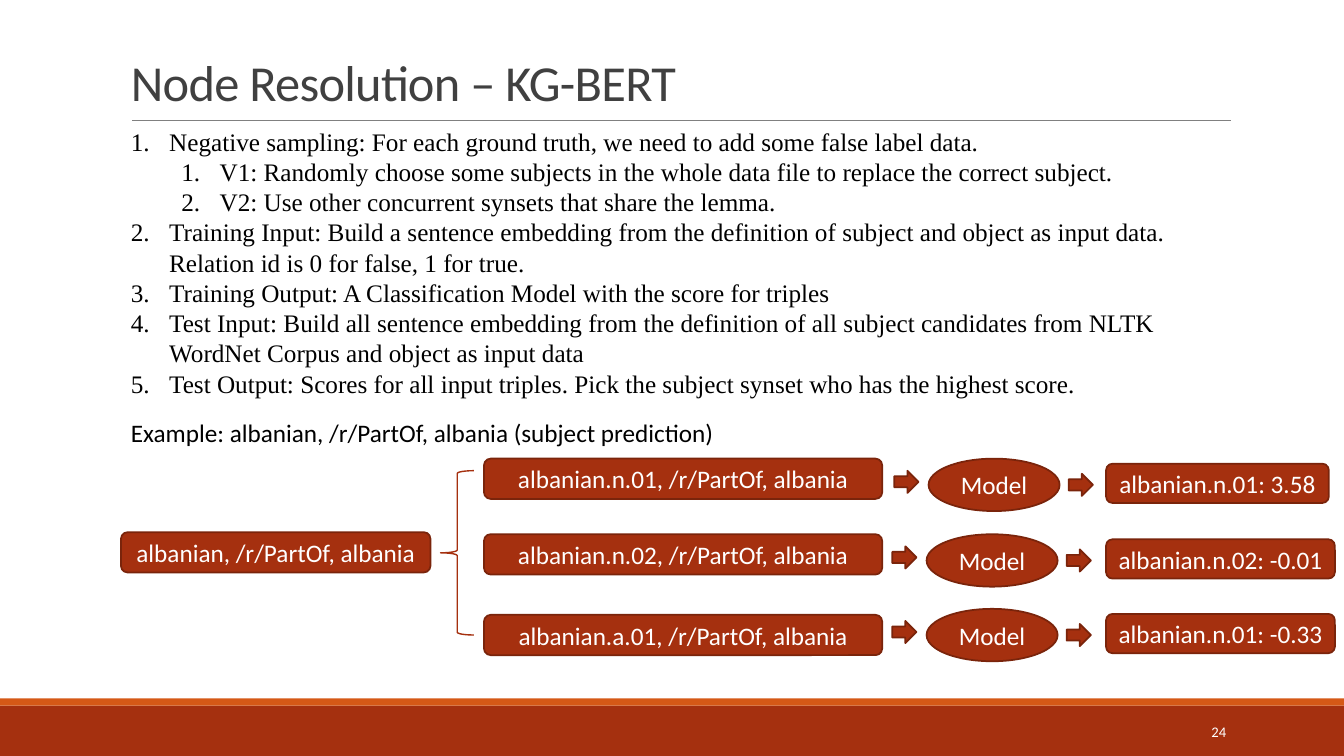
from lxml import etree
from pptx import Presentation
from pptx.dml.color import RGBColor
from pptx.enum.shapes import MSO_CONNECTOR, MSO_SHAPE
from pptx.enum.text import MSO_ANCHOR, PP_ALIGN
from pptx.oxml.ns import qn
from pptx.util import Inches, Pt

RECT, ROUND = MSO_SHAPE.RECTANGLE, MSO_SHAPE.ROUNDED_RECTANGLE
OVAL, ARROW, BRACE = MSO_SHAPE.OVAL, MSO_SHAPE.RIGHT_ARROW, MSO_SHAPE.LEFT_BRACE
TOP, MIDDLE, BOTTOM = MSO_ANCHOR.TOP, MSO_ANCHOR.MIDDLE, MSO_ANCHOR.BOTTOM
LEFT, CENTER, RIGHT = PP_ALIGN.LEFT, PP_ALIGN.CENTER, PP_ALIGN.RIGHT

W, H = 13.33, 7.5
MARGIN = 1.2
RED, ORANGE, DARK_RED = "A5300F", "D55816", "7A240B"
rgb = RGBColor.from_string

prs = Presentation()
prs.slide_width, prs.slide_height = Inches(W), Inches(H)
s = prs.slides.add_slide(prs.slide_layouts[6])


def write(sp, lines, size=18, color="FFFFFF", font="Calibri", align=CENTER, anchor=MIDDLE):
    """Fill a shape with one paragraph per line, all in one style."""
    tf = sp.text_frame
    tf.word_wrap = True
    tf.vertical_anchor = anchor
    tf.text = "\n".join(lines)
    for p in tf.paragraphs:
        p.alignment = align
        for r in p.runs:
            r.font.size, r.font.name = Pt(size), font
            r.font.color.rgb = rgb(color)
    return tf


def add_block(kind, x, y, w, h, text="", fill=RED, line=DARK_RED, width=1.25):
    sp = s.shapes.add_shape(kind, Inches(x), Inches(y), Inches(w), Inches(h))
    sp.shadow.inherit = False
    if fill:
        sp.fill.solid()
        sp.fill.fore_color.rgb = rgb(fill)
    else:
        sp.fill.background()
    if line:
        sp.line.color.rgb = rgb(line)
        sp.line.width = Pt(width)
    else:
        sp.line.fill.background()
    if text:
        tf = write(sp, [text])
        tf.margin_left = tf.margin_right = Inches(0.05)


# Footer bands and title rule
add_block(RECT, 0, 7, W, 0.5, line=None)
add_block(RECT, 0, 6.93, W, 0.07, fill=ORANGE, line=None)
rule = s.shapes.add_connector(MSO_CONNECTOR.STRAIGHT, Inches(1.31), Inches(1.19),
                              Inches(12.21), Inches(1.19))
rule.line.color.rgb = rgb("808080")
rule.line.width = Pt(0.5)
etree.SubElement(rule._element.spPr, qn("a:effectLst"))

# Title, page number and example heading
title = s.shapes.add_textbox(Inches(MARGIN), Inches(0.31), Inches(11), Inches(0.85))
p = write(title, ["Node Resolution – KG-BERT"], 36, "404040", align=LEFT, anchor=BOTTOM).paragraphs[0]
p.line_spacing = 0.85
p.runs[0].font._element.set("spc", "-50")

number = s.shapes.add_textbox(Inches(10.83), Inches(7.06), Inches(1.43), Inches(0.4))
write(number, ["24"], 10.5, align=RIGHT)

example = s.shapes.add_textbox(Inches(MARGIN), Inches(4.09), Inches(W / 2), Inches(0.4))
write(example, ["Example: albanian, /r/PartOf, albania (subject prediction)"],
      color="000000", align=LEFT, anchor=TOP)

# Numbered steps: (level, text)
steps = [
    (0, "Negative sampling: For each ground truth, we need to add some false label data."),
    (1, "V1: Randomly choose some subjects in the whole data file to replace the correct subject."),
    (1, "V2: Use other concurrent synsets that share the lemma."),
    (0, "Training Input: Build a sentence embedding from the definition of subject and object "
        "as input data. Relation id is 0 for false, 1 for true."),
    (0, "Training Output: A Classification Model with the score for triples"),
    (0, "Test Input: Build all sentence embedding from the definition of all subject candidates "
        "from NLTK WordNet Corpus and object as input data"),
    (0, "Test Output: Scores for all input triples. Pick the subject synset who has the highest score."),
]
body = s.shapes.add_textbox(Inches(MARGIN), Inches(1.2), Inches(10.86), Inches(2.83))
tf = write(body, [text for _, text in steps], color="000000", font="Times New Roman",
           align=LEFT, anchor=TOP)
for p, (level, _) in zip(tf.paragraphs, steps):
    p.level = level
    pPr = p._p.get_or_add_pPr()
    pPr.set("marL", str(Inches(0.38 + 0.5 * level)))
    pPr.set("indent", str(-Inches(0.38)))
    etree.SubElement(pPr, qn("a:buFont"), typeface="+mj-lt")
    etree.SubElement(pPr, qn("a:buAutoNum"), type="arabicPeriod")

# Prediction flow: query, brace, then one row per candidate
add_block(ROUND, MARGIN, 5.28, 3.07, 0.4, "albanian, /r/PartOf, albania")
add_block(BRACE, 4.37, 4.67, 0.33, 1.63, fill=None, line=RED, width=1)

# (candidate, its top, model left, model top, score, score width)
rows = [
    ("albanian.n.01", 4.55, 9.21, 4.55, "albanian.n.01: 3.58", 2.21),
    ("albanian.n.02", 5.3, 9.19, 5.3, "albanian.n.02: -0.01", 2.27),
    ("albanian.a.01", 6.1, 9.19, 6.04, "albanian.n.01: -0.33", 2.27),
]
for candidate, top, x, y, score, score_w in rows:
    add_block(ROUND, 4.8, top, 3.95, 0.4, f"{candidate}, /r/PartOf, albania")
    add_block(ARROW, x - 0.34, y + 0.12, 0.24, 0.22)
    add_block(OVAL, x, y, 1.3, 0.52, "Model")
    add_block(ARROW, x + 1.39, y + 0.15, 0.24, 0.22)
    add_block(ROUND, 10.97, y + 0.05, score_w, 0.39, score)

prs.save("out.pptx")
